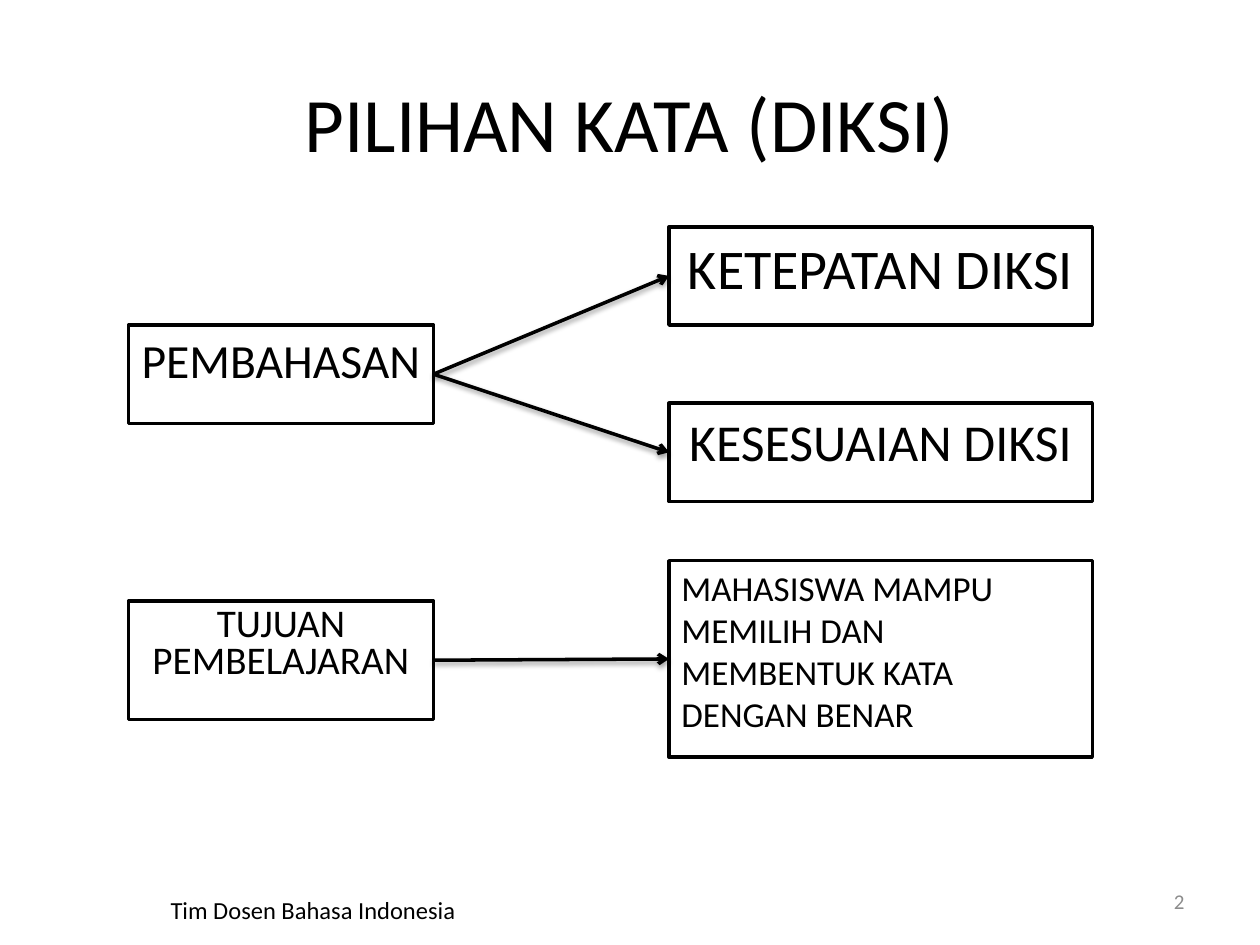
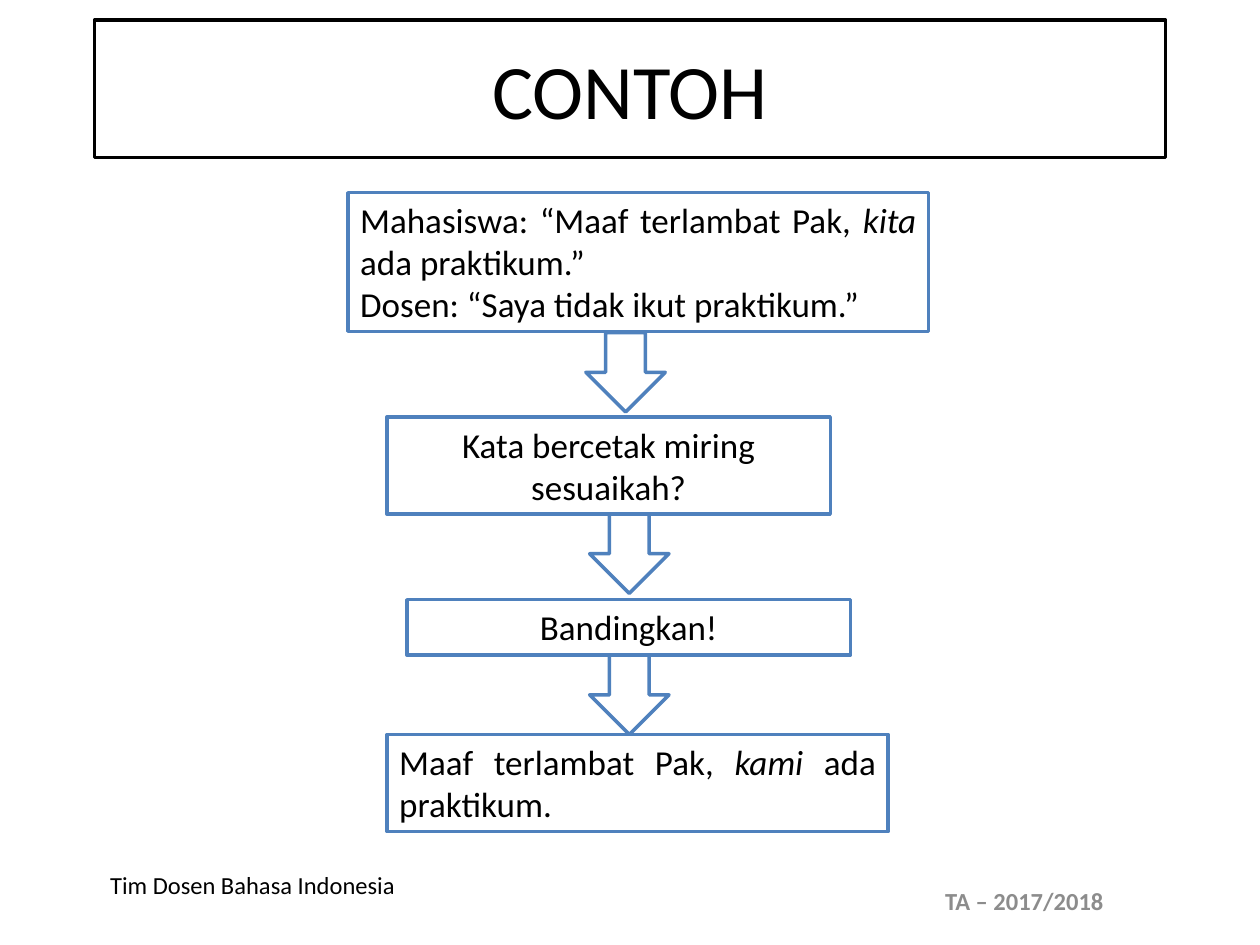
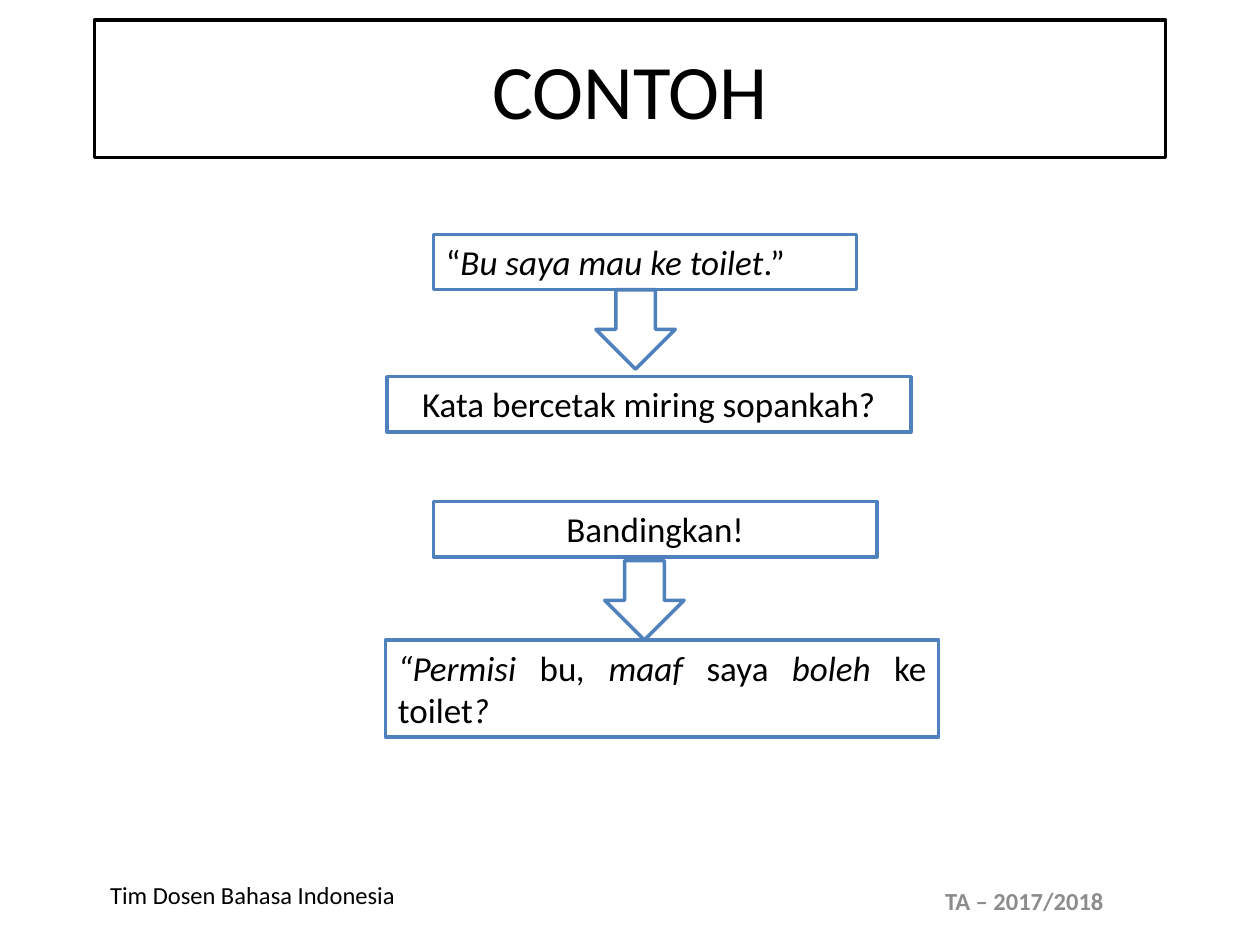
import dataclasses
import pptx
import pptx.dml.color
import pptx.enum.shapes
import pptx.enum.text
import pptx.oxml
import pptx.oxml.ns
import pptx.util

Inches = pptx.util.Inches
Pt = pptx.util.Pt
Align = pptx.enum.text.PP_ALIGN
Anchor = pptx.enum.text.MSO_ANCHOR
Kind = pptx.enum.shapes.MSO_SHAPE


@dataclasses.dataclass(frozen=True)
class Theme:
    font: str = "Calibri"
    ink: str = "000000"
    paper: str = "FFFFFF"
    blue: str = "4F81BD"
    gray: str = "8C8C8C"
    title: float = 44
    topic: float = 27.2
    aim: float = 22.4
    body: float = 20
    foot: float = 14
    page: float = 12
    line: float = 2


theme = Theme()


def color(code):
    return pptx.dml.color.RGBColor.from_string(code)


def place(shape, box):
    shape.left, shape.top, shape.width, shape.height = map(Inches, box)


def frame(shape, edge):
    """Give a shape the white fill and the shared outline."""
    shape.fill.solid()
    shape.fill.fore_color.rgb = color(theme.paper)
    shape.line.color.rgb = color(edge)
    shape.line.width = Pt(theme.line)


def write(shape, text, size, tint=theme.ink, align=Align.CENTER,
          anchor=Anchor.MIDDLE, bold=False, lead=0, pitch=1.0):
    """One paragraph per line; words between asterisks are italic."""
    body = shape.text_frame
    body.word_wrap = True
    body.auto_size = pptx.enum.text.MSO_AUTO_SIZE.NONE
    body.vertical_anchor = anchor
    for num, line in enumerate(text.split("\n")):
        para = body.add_paragraph() if num else body.paragraphs[0]
        para.alignment = align
        para.space_before = Pt(size * lead)
        para.line_spacing = pitch
        font = para.font
        font.name, font.size, font.bold = theme.font, Pt(size), bold
        font.color.rgb = color(tint)
        for part, words in enumerate(line.split("*")):
            if words:
                run = para.add_run()
                run.text = words
                if part % 2:
                    run.font.italic = True


def block(slide, box, edge, kind=Kind.RECTANGLE):
    shape = slide.shapes.add_shape(kind, *map(Inches, box))
    shape.shadow.inherit = False
    frame(shape, edge)
    return shape


def label(slide, box, text, size, **style):
    write(slide.shapes.add_textbox(*map(Inches, box)), text, size, **style)


def head(slide, box, text, framed):
    title = slide.shapes.title
    place(title, box)
    if framed:
        frame(title, theme.ink)
    write(title, text, theme.title)


def foot(slide, left, top):
    label(slide, (left, top, 3.17, 0.4), "Tim Dosen Bahasa Indonesia", theme.foot)


def link(slide, start, end):
    """Arrow from the right side of one box to the left side of another."""
    line = slide.shapes.add_connector(
        pptx.enum.shapes.MSO_CONNECTOR.STRAIGHT, 0, 0, 0, 0)
    line.begin_connect(start, 3)
    line.end_connect(end, 1)
    line.line.color.rgb = color(theme.ink)
    line.line.width = Pt(theme.line)
    space = pptx.oxml.ns.nsdecls("a")
    line.line._get_or_add_ln().append(
        pptx.oxml.parse_xml(f'<a:tailEnd {space} type="arrow"/>'))
    # Soft shadow straight below the line
    line._element.spPr.append(pptx.oxml.parse_xml(
        f'<a:effectLst {space}><a:outerShdw blurRad="{Pt(3.1)}" dist="{Pt(1.6)}" '
        f'dir="5400000" rotWithShape="0"><a:srgbClr val="{theme.ink}">'
        '<a:alpha val="38000"/></a:srgbClr></a:outerShdw></a:effectLst>'))


def chart(slide, x, y):
    """Topic with two branches, and the aim below it."""
    wide, tall, right = 2.42, 0.78, x + 4.29
    topic = slide.placeholders[1]
    place(topic, (x, y + 0.78, wide, tall))
    frame(topic, theme.ink)
    write(topic, "PEMBAHASAN", theme.topic, anchor=Anchor.TOP, lead=0.2)

    # Branches
    for drop, text, size in ((0, "KETEPATAN DIKSI", 32),
                             (1.4, "KESESUAIAN DIKSI", 29.6)):
        branch = block(slide, (right, y + drop, 3.36, tall), theme.ink)
        write(branch, text, size, anchor=Anchor.TOP, lead=0.2)
        link(slide, topic, branch)

    # Aim
    aim = block(slide, (x, y + 2.97, wide, 0.94), theme.ink)
    write(aim, "TUJUAN PEMBELAJARAN", theme.aim, anchor=Anchor.TOP,
          lead=0.2, pitch=0.8)
    goal = block(slide, (right, y + 2.65, 3.36, 1.56), theme.ink)
    write(goal, "MAHASISWA MAMPU MEMILIH DAN MEMBENTUK KATA DENGAN BENAR",
          theme.body, align=Align.LEFT, anchor=Anchor.TOP)
    link(slide, aim, goal)


def flow(slide, x, y, steps, arrows):
    """Steps are (left, top, width, lines, align, text) from the corner x, y."""
    for left, top, wide, rows, align, text in steps:
        step = block(slide, (x + left, y + top, wide, 0.11 + 0.33 * rows),
                     theme.blue)
        write(step, text, theme.body, align=align, anchor=Anchor.TOP)
    for left, top in arrows:
        block(slide, (x + left, y + top, 0.63, 0.63), theme.blue,
              Kind.DOWN_ARROW)


def cover(deck):
    slide = deck.slides.add_slide(deck.slide_layouts[0])
    head(slide, (0.75, 0.16, 8.5, 1.61), "PILIHAN KATA (DIKSI)", False)
    chart(slide, 1.02, 1.8)
    foot(slide, 0.9, 7.02)
    label(slide, (7.17, 6.95, 2.33, 0.4), "2", theme.page,
          tint=theme.gray, align=Align.RIGHT)


def sample(deck, x, y, steps, arrows, base):
    slide = deck.slides.add_slide(deck.slide_layouts[5])
    head(slide, (0.75, 0.16, 8.5, 1.09), "CONTOH", True)
    flow(slide, x, y, steps, arrows)
    foot(slide, 0.42, base)
    label(slide, (6.82, 6.92, 2.62, 0.46), "TA – 2017/2018", theme.foot,
          tint=theme.gray, bold=True)


deck = pptx.Presentation()
deck.slide_width, deck.slide_height = Inches(10), Inches(7.5)

cover(deck)

# Fitting words
sample(deck, 2.76, 1.53, (
    (0, 0, 4.61, 3, Align.JUSTIFY,
     "Mahasiswa: “Maaf terlambat Pak, *kita* ada praktikum.”\n"
     "Dosen: “Saya tidak ikut praktikum.”"),
    (0.31, 1.78, 3.52, 2, Align.CENTER, "Kata bercetak miring sesuaikah?"),
    (0.47, 3.23, 3.52, 1, Align.CENTER, "Bandingkan!"),
    (0.31, 4.3, 3.98, 2, Align.JUSTIFY,
     "Maaf terlambat Pak, *kami *ada praktikum."),
), ((1.89, 1.11), (1.92, 2.55), (1.92, 3.67)), 6.82)

# Polite words
sample(deck, 3.06, 1.86, (
    (0.38, 0, 3.36, 1, Align.JUSTIFY, "“*Bu saya mau ke toilet*.”"),
    (0.01, 1.13, 4.16, 1, Align.CENTER, "Kata bercetak miring sopankah?"),
    (0.38, 2.12, 3.52, 1, Align.CENTER, "Bandingkan!"),
    (0, 3.22, 4.39, 2, Align.JUSTIFY,
     "*“Permisi *bu*, maaf *saya* boleh *ke toilet*?*"),
), ((1.67, 0.44), (1.74, 2.59)), 6.9)

deck.save("out.pptx")
